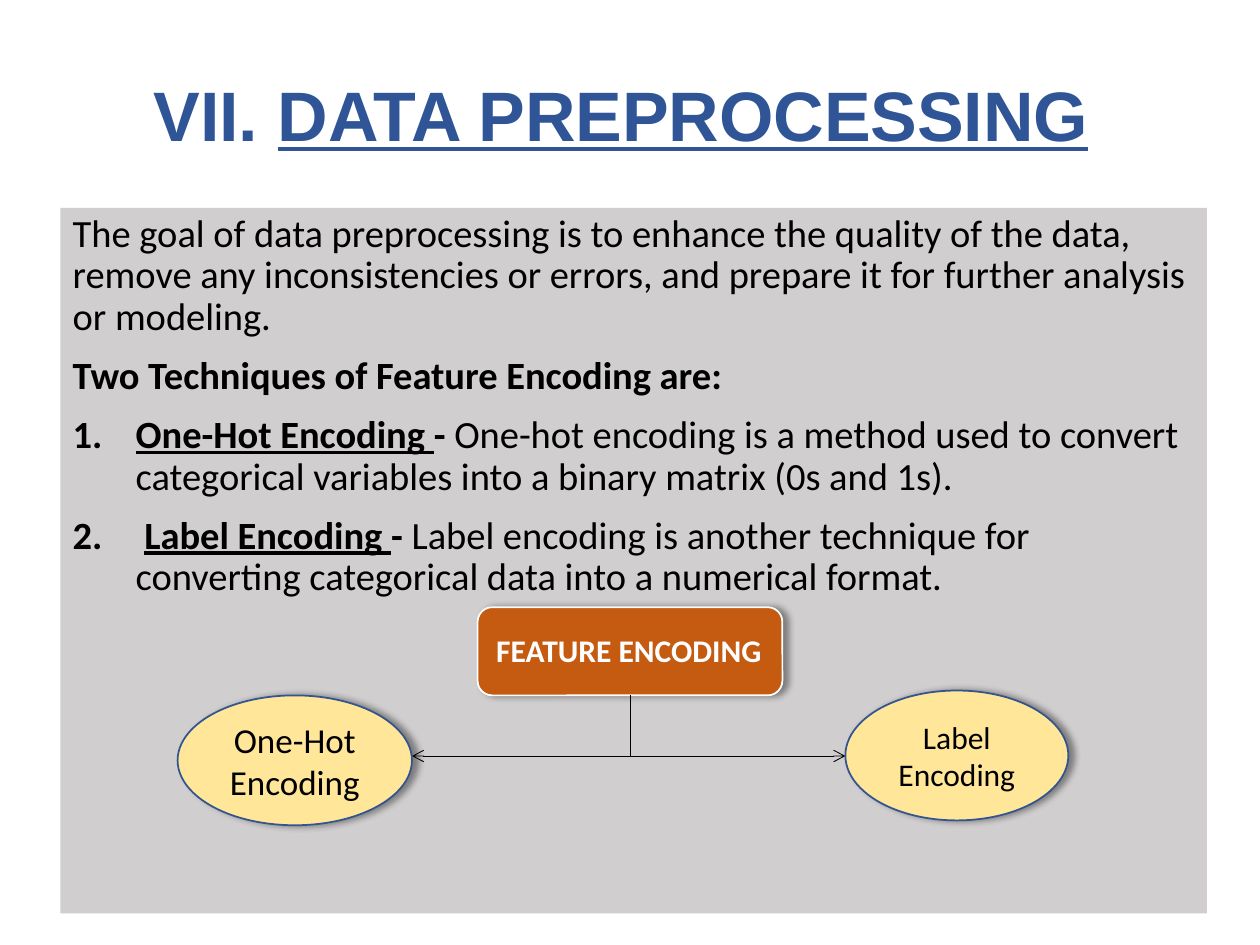
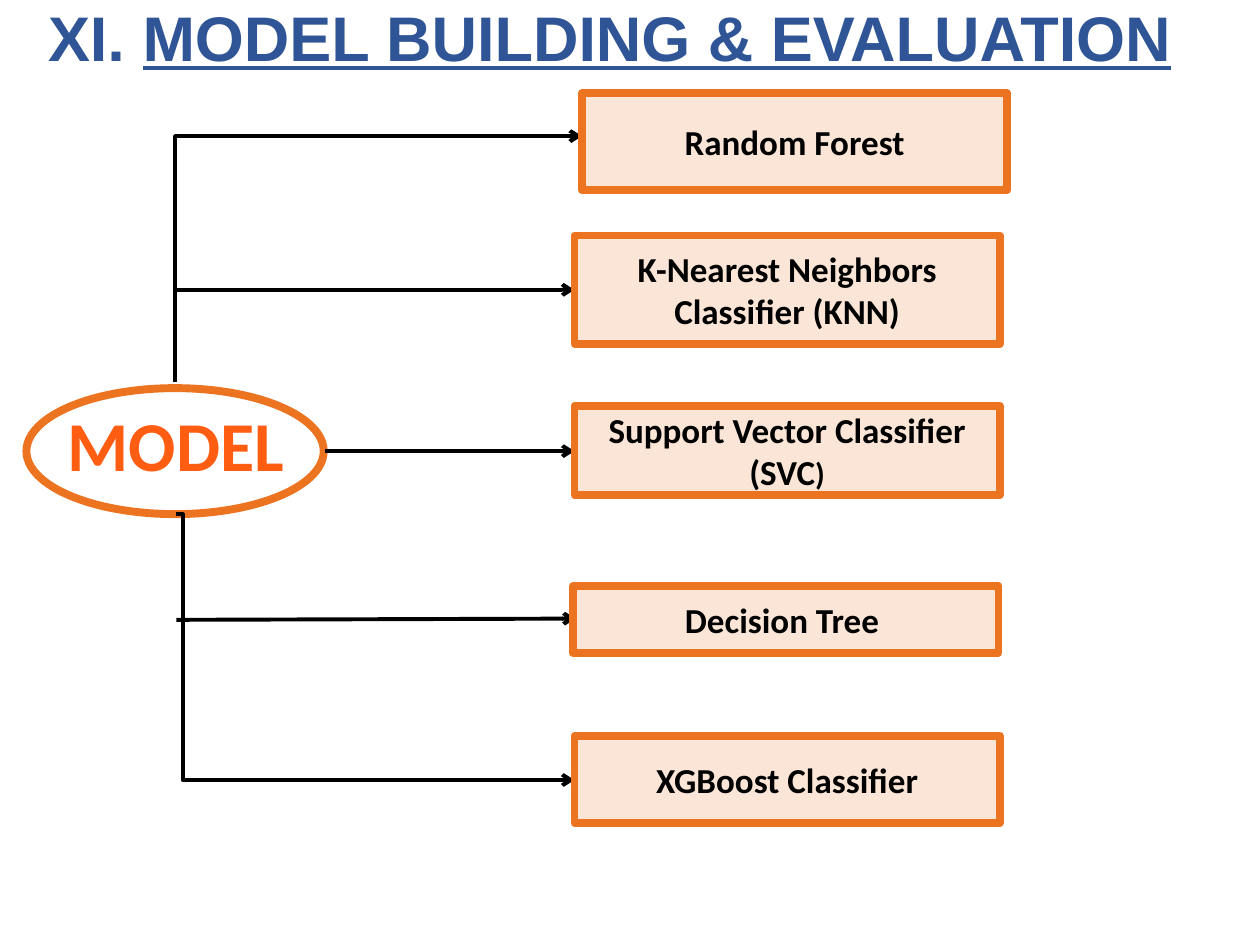
from lxml import etree
from pptx import Presentation
from pptx.dml.color import RGBColor
from pptx.enum.shapes import MSO_CONNECTOR, MSO_SHAPE
from pptx.enum.text import MSO_ANCHOR, PP_ALIGN
from pptx.oxml.ns import qn
from pptx.util import Pt

RECT, ROUNDED, OVAL = MSO_SHAPE.RECTANGLE, MSO_SHAPE.ROUNDED_RECTANGLE, MSO_SHAPE.OVAL
STRAIGHT, ELBOW = MSO_CONNECTOR.STRAIGHT, MSO_CONNECTOR.ELBOW
LEFT, CENTER = PP_ALIGN.LEFT, PP_ALIGN.CENTER
TOP, MIDDLE = MSO_ANCHOR.TOP, MSO_ANCHOR.MIDDLE
rgb = RGBColor.from_string

BLACK, WHITE = "000000", "FFFFFF"
TITLE_BLUE, OVAL_BLUE = "2F5597", "325491"
PANEL_GREY, CREAM, RUST = "D0CECE", "FFE699", "C55A11"
ORANGE, PEACH, BRIGHT_ORANGE = "EC7320", "FBE5D6", "FF5D12"


def add_part(slide, kind, box, paragraphs=(), size=20, color=BLACK, font="Calibri",
             fill=None, border=None, width=1, shadow=False, align=CENTER, anchor=MIDDLE):
    place = [Pt(value) for value in box]
    if kind is None:
        part = slide.shapes.add_textbox(*place)
    else:
        part = slide.shapes.add_shape(kind, *place)
        part.shadow.inherit = False
        part.fill.solid()
        part.fill.fore_color.rgb = rgb(fill)
        if border:
            part.line.color.rgb = rgb(border)
            part.line.width = Pt(width)
        else:
            part.line.fill.background()
    if shadow:
        effects = part._element.spPr.find(qn("a:effectLst"))
        outer = etree.SubElement(effects, qn("a:outerShdw"), blurRad=str(Pt(4)),
                                 dist=str(Pt(3)), dir="0", algn="l", rotWithShape="0")
        shade = etree.SubElement(outer, qn("a:srgbClr"), val=BLACK)
        etree.SubElement(shade, qn("a:alpha"), val="40000")
    frame = part.text_frame
    frame.word_wrap = True
    frame.vertical_anchor = anchor
    for index, pieces in enumerate(paragraphs):
        paragraph = frame.paragraphs[0] if index == 0 else frame.add_paragraph()
        paragraph.alignment = align
        for text, style in pieces:
            run = paragraph.add_run()
            run.text = text
            run.font.name = font
            run.font.size = Pt(size)
            run.font.color.rgb = rgb(color)
            run.font.bold = "b" in style
            run.font.underline = "u" in style
    return part


def add_arrow(slide, start, end, width, bend=None):
    kind = STRAIGHT if bend is None else ELBOW
    arrow = slide.shapes.add_connector(kind, *[Pt(value) for value in start + end])
    arrow.line.color.rgb = rgb(BLACK)
    arrow.line.width = Pt(width)
    properties = arrow._element.spPr
    etree.SubElement(properties.find(qn("a:ln")), qn("a:tailEnd"), type="arrow")
    etree.SubElement(properties, qn("a:effectLst"))
    if bend is not None:
        adjustments = properties.find(qn("a:prstGeom")).get_or_add_avLst()
        etree.SubElement(adjustments, qn("a:gd"), name="adj1",
                         fmla=f"val {round(bend * 100000)}")


deck = Presentation()
deck.slide_width, deck.slide_height = Pt(720), Pt(540)
blank = deck.slide_layouts[6]
preprocessing, models = [deck.slides.add_slide(blank) for _ in range(2)]

goal = [
    [("The goal of data preprocessing is to enhance the quality of the data, remove any "
      "inconsistencies or errors, and prepare it for further analysis or modeling.", "")],
    [("Two Techniques of Feature Encoding are:", "b")],
    [("One-Hot Encoding ", "bu"), ("- ", "b"),
     ("One-hot encoding is a method used to convert categorical variables into a binary "
      "matrix (0s and 1s).", "")],
    [(" ", "b"), ("Label Encoding ", "bu"), ("- ", "b"),
     ("Label encoding is another technique for converting categorical data into a "
      "numerical format.", "")],
]
panel = add_part(preprocessing, RECT, (34.5, 118.8, 655.2, 403.2), goal, 22,
                 fill=PANEL_GREY, align=LEFT, anchor=TOP)
for paragraph in panel.text_frame.paragraphs:
    paragraph.line_spacing = 0.9
    paragraph.space_before = Pt(10)
for technique in panel.text_frame.paragraphs[2:]:
    numbering = technique._p.get_or_add_pPr()
    numbering.set("marL", str(Pt(36)))
    numbering.set("indent", str(Pt(-36)))
    etree.SubElement(numbering, qn("a:buFont"), typeface="+mj-lt")
    etree.SubElement(numbering, qn("a:buAutoNum"), type="arabicPeriod")

titles = [
    (preprocessing, (44.6, 15.8, 620.6, 104.4), "VII. ", "DATA PREPROCESSING", 40),
    (models, (0.7, 1.4, 695.5, 43.9), "XI. ", "MODEL BUILDING & EVALUATION", 36),
]
for slide, box, numeral, heading, size in titles:
    title = add_part(slide, None, box, [[(numeral, "b"), (heading, "bu")]], size,
                     TITLE_BLUE, "Arial")
    title.text_frame.paragraphs[0].line_spacing = 0.9

add_part(preprocessing, ROUNDED, (272.9, 347, 174.2, 50.4), fill=RUST, border=WHITE,
         shadow=True)
encoding = add_part(preprocessing, None, (276.5, 357.1, 167.8, 29),
                    [[("FEATURE ENCODING", "b")]], 18, WHITE, align=LEFT, anchor=TOP)
encoding.text_frame.word_wrap = False
add_arrow(preprocessing, (360, 397.4), (483.1, 432), 0.5, bend=0)
add_arrow(preprocessing, (360, 432), (235.4, 432), 0.5)
for box, technique, size in [
    ((101.5, 397.4, 133.9, 74.2), "One-Hot Encoding", 20),
    ((483.1, 394.6, 127.4, 74.2), "Label Encoding", 18),
]:
    add_part(preprocessing, OVAL, box, [[(technique, "")]], size, fill=CREAM,
             border=OVAL_BLUE, shadow=True)

add_part(models, OVAL, (15.1, 221.8, 169.9, 72), fill=WHITE, border=ORANGE, width=4.5)
for start, end, bend in [
    ((100.1, 218.2), (332.6, 77.8), 0),
    ((100.8, 165.6), (328.3, 165.6), None),
    ((185.8, 257.8), (328.3, 257.8), None),
    ((100.8, 354.2), (329, 353.5), None),
    ((100.8, 293.8), (328.3, 445.7), 0.016),
]:
    add_arrow(models, start, end, 2.25, bend)

for left, top, height, classifier in [
    (332.6, 53.3, 55.4, "Random Forest"),
    (328.3, 134.6, 61.9, "K-Nearest Neighbors Classifier (KNN)"),
    (328.3, 231.8, 51.1, "Support Vector Classifier (SVC)"),
    (327.6, 334.8, 38.2, "Decision Tree "),
    (328.3, 420.5, 49.7, "XGBoost Classifier"),
]:
    name = [(classifier[:-1], "b"), (classifier[-1], "b")] if "SVC" in classifier else [(classifier, "b")]
    card = add_part(models, RECT, (left, top, 243, height), [name], fill=PEACH,
                    border=ORANGE, width=4.5)
    for closing_bracket in card.text_frame.paragraphs[0].runs[1:]:
        closing_bracket.font.size = Pt(18)

add_part(models, None, (23.8, 226.1, 153.4, 55.4), [[("MODEL", "b")]], 40,
         BRIGHT_ORANGE, anchor=TOP)

deck.save("out.pptx")
